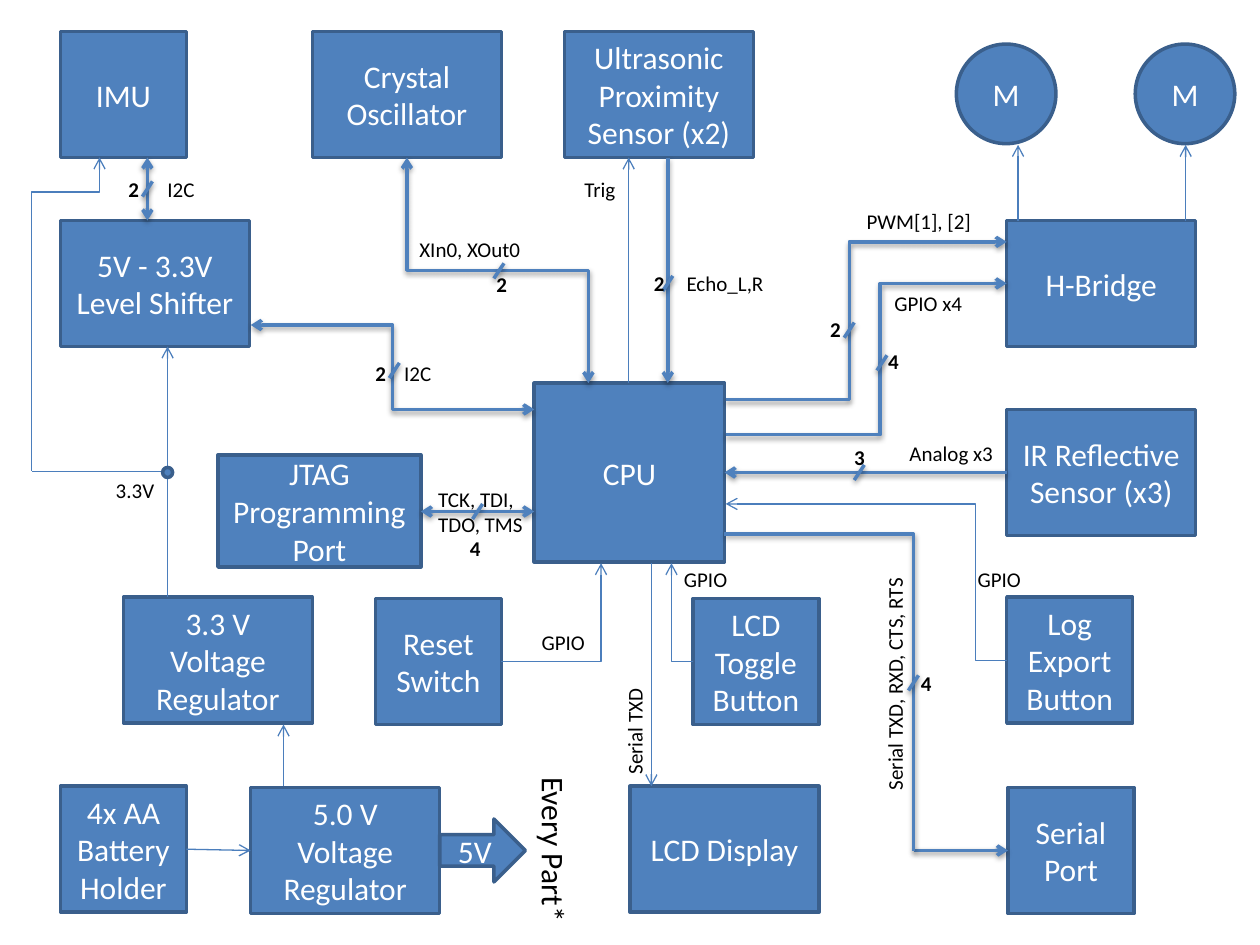
from pptx import Presentation
from pptx.dml.color import RGBColor
from pptx.enum.shapes import MSO_CONNECTOR, MSO_SHAPE
from pptx.enum.text import MSO_ANCHOR, MSO_AUTO_SIZE, PP_ALIGN
from pptx.oxml.ns import qn
from pptx.oxml.xmlchemy import OxmlElement
from pptx.util import Inches, Pt

RECTANGLE, OVAL, ARROW = MSO_SHAPE.RECTANGLE, MSO_SHAPE.OVAL, MSO_SHAPE.RIGHT_ARROW
STRAIGHT, ELBOW = MSO_CONNECTOR.STRAIGHT, MSO_CONNECTOR.ELBOW
CENTER, MIDDLE, FIT = PP_ALIGN.CENTER, MSO_ANCHOR.MIDDLE, MSO_AUTO_SIZE.SHAPE_TO_FIT_TEXT
FONT = "Calibri"
BLUE, OUTLINE, WIRE, WHITE, BLACK = "4F81BD", "3A5F8C", "4B7EBC", "FFFFFF", "000000"
BUS_WIDTH, WIRE_WIDTH = 2, 0.75

BLOCKS = [
    ("CPU", 4.24, 3.04, 1.51, 1.42),
    ("IMU", 0.48, 0.25, 1, 1),
    ("4x AA Battery Holder", 0.48, 6.24, 1, 1),
    ("Reset Switch", 2.98, 4.75, 1, 1),
    ("3.3 V Voltage Regulator", 0.98, 4.74, 1.5, 1),
    ("5.0 V Voltage Regulator", 1.99, 6.25, 1.5, 1),
    ("H-Bridge", 7.99, 1.75, 1.5, 1),
    ("5V - 3.3V Level Shifter", 0.48, 1.75, 1.5, 1),
    ("IR Reflective Sensor (x3)", 7.99, 3.25, 1.5, 1),
    ("Ultrasonic Proximity Sensor (x2)", 4.48, 0.25, 1.5, 1),
    ("Crystal Oscillator", 2.48, 0.25, 1.5, 1),
    ("LCD Toggle Button", 5.5, 4.75, 1, 1),
    ("LCD Display", 5, 6.24, 1.5, 1),
    ("Log Export Button", 7.99, 4.74, 1, 1),
    ("Serial Port", 8, 6.25, 1, 1),
    ("JTAG Programming Port", 1.73, 3.61, 1.61, 0.89),
]
WIRES = [
    (2.25, 6.24, 2.25, 5.75),
    (1.33, 4.74, 1.33, 2.75),
    (4.99, 3.04, 4.99, 1.25),
    (5.17, 4.47, 5.17, 6.24),
    (8.08, 1.75, 8.08, 1.15),
    (9.41, 1.75, 9.41, 1.15),
    (1.48, 6.74, 1.99, 6.75),
]
BUSES = [
    (1.17, 1.25, 1.17, 1.75, "both"),
    (4.24, 4.06, 3.34, 4.06, "both"),
    (5.3, 1.25, 5.3, 3.04, "end"),
    (7.99, 3.75, 5.75, 3.75, "end"),
    (7.25, 6.75, 8, 6.75, "end"),
]
BENT_BUSES = [
    (1.99, 2.58, 4.24, 3.25, 0.5, "both", False),
    (3.23, 1.25, 4.67, 3.04, 0.5, "both", True),
    (5.76, 3.45, 7.99, 2.25, 0.55, "end", False),
    (5.76, 3.17, 7.99, 1.92, 0.44, "end", False),
    (5.75, 4.24, 7.25, 6.75, None, "none", False),
]
BENT_WIRES = [
    (0.25, 3.74, 0.79, 1.25, 0.89, "end", True),
    (3.98, 5.25, 4.77, 4.47, None, "end", False),
    (5.5, 5.25, 5.33, 4.47, None, "end", False),
    (7.99, 5.24, 5.76, 4, 0.11, "end", False),
]
BUS_MARKS = [
    ("2", 1.17, 1.5, 0.92, 1.35),
    ("2", 3.13, 2.94, 2.88, 2.81),
    ("2", 3.96, 2.15, 3.84, 2.11),
    ("2", 5.3, 2.25, 5.09, 2.1),
    ("4", 7.25, 5.42, 7.21, 5.27),
    ("2", 6.74, 2.62, 6.49, 2.46),
    ("4", 7, 2.88, 6.95, 2.72),
    ("3", 6.82, 3.75, 6.68, 3.48),
    ("4", 3.79, 4.06, 3.63, 4.2),
]
LABELS = [
    ("I2C", 3.11, 2.81, 0.42),
    ("XIn0, XOut0", 3.23, 1.83, 1.01),
    ("I2C", 1.23, 1.35, 0.42),
    ("Echo_L,R", 5.35, 2.1, 0.82),
    ("GPIO x4", 7, 2.26, 0.85),
    ("PWM[1], [2]", 6.78, 1.61, 1.07),
    ("Analog x3", 7.12, 3.45, 0.87),
    ("Trig", 4.54, 1.35, 0.45),
    ("3.3V", 0.82, 3.74, 0.51),
    ("GPIO", 4.2, 4.95, 0.55),
    ("GPIO", 5.33, 4.45, 0.55),
    ("GPIO", 7.66, 4.45, 0.55),
]


def rgb(value):
    """Turn a hex string into a colour."""
    return RGBColor.from_string(value)


def add_child(parent, tag, **attributes):
    """Append an XML element with attributes and return it."""
    child = OxmlElement(tag)
    for name, value in attributes.items():
        child.set(name, str(value))
    parent.append(child)
    return child


def write(shape, text, size, color, bold=False):
    """Set the text of a shape and format it."""
    shape.text_frame.text = text
    para = shape.text_frame.paragraphs[0]
    for span in para.runs:
        span.font.name, span.font.size, span.font.bold = FONT, Pt(size), bold
        span.font.color.rgb = rgb(color)
    return para


def add_block(slide, text, left, top, width, height, kind=RECTANGLE):
    """Draw a filled shape with centred text."""
    block = slide.shapes.add_shape(kind, *map(Inches, (left, top, width, height)))
    block.shadow.inherit = False
    block.fill.solid()
    block.fill.fore_color.rgb = rgb(BLUE)
    block.line.color.rgb = rgb(OUTLINE)
    block.line.width = Pt(BUS_WIDTH)
    if text:
        block.text_frame.word_wrap = True
        block.text_frame.vertical_anchor = MIDDLE
        write(block, text, 18, WHITE).alignment = CENTER


def add_label(slide, text, left, top, width, height=0.3, size=12, bold=False, rotation=0, wrap=False):
    """Place a free label."""
    box = slide.shapes.add_textbox(*map(Inches, (left, top, width, height)))
    box.rotation = rotation
    box.text_frame.word_wrap = wrap
    box.text_frame.auto_size = FIT
    write(box, text, size, BLACK, bold)


def style_line(connector, bus, arrows):
    """Give a connector its colour, width, arrowheads and shadow."""
    connector.line.color.rgb = rgb(BLUE if bus else WIRE)
    connector.line.width = Pt(BUS_WIDTH if bus else WIRE_WIDTH)
    properties = connector._element.spPr
    line = properties.find(qn("a:ln"))
    if arrows == "both":
        add_child(line, "a:headEnd", type="arrow")
    if arrows != "none":
        add_child(line, "a:tailEnd", type="arrow")
    effects = add_child(properties, "a:effectLst")
    if bus:
        shadow = add_child(effects, "a:outerShdw", blurRad=Pt(3.1), dist=Pt(1.6), dir=5400000, rotWithShape=0)
        add_child(add_child(shadow, "a:srgbClr", val=BLACK), "a:alpha", val=38000)


def add_line(slide, x1, y1, x2, y2, bus=False, arrows="end"):
    """Draw a straight wire or bus."""
    connector = slide.shapes.add_connector(STRAIGHT, *map(Inches, (x1, y1, x2, y2)))
    style_line(connector, bus, arrows)


def add_elbow(slide, x1, y1, x2, y2, bend, arrows, vertical, bus):
    """Draw a bent line that turns at the bend fraction, or at one corner when bend is None."""
    if vertical:
        middle_x, middle_y = (x1 + x2) / 2, (y1 + y2) / 2
        half_x, half_y = (y2 - y1) / 2, (x1 - x2) / 2
        x1, y1 = middle_x - half_x, middle_y - half_y
        x2, y2 = middle_x + half_x, middle_y + half_y
    connector = slide.shapes.add_connector(ELBOW, *map(Inches, (x1, y1, x2, y2)))
    connector.rotation = 90 if vertical else 0
    geometry = connector._element.spPr.find(qn("a:prstGeom"))
    if bend is None:
        geometry.set("prst", "bentConnector2")
    else:
        guides = geometry.find(qn("a:avLst"))
        add_child(guides, "a:gd", name="adj1", fmla=f"val {round(bend * 100000)}")
    style_line(connector, bus, arrows)


def main():
    """Build the robot block diagram."""
    deck = Presentation()
    deck.slide_width, deck.slide_height = Inches(10), Inches(7.5)
    slide = deck.slides.add_slide(deck.slide_layouts[6])
    for block in BLOCKS:
        add_block(slide, *block)
    for left in (7.59, 9.01):
        add_block(slide, "M", left, 0.35, 0.79, 0.79, OVAL)
    add_block(slide, "5V", 3.49, 6.5, 0.68, 0.5, ARROW)
    for wire in WIRES:
        add_line(slide, *wire)
    add_line(slide, 1.33, 3.74, 0.25, 3.74, arrows="none")
    for x1, y1, x2, y2, arrows in BUSES:
        add_line(slide, x1, y1, x2, y2, True, arrows)
    for routes, bus in ((BENT_BUSES, True), (BENT_WIRES, False)):
        for route in routes:
            add_elbow(slide, *route, bus)
    add_block(slide, "", 1.29, 3.71, 0.08, 0.08, OVAL)
    for count, x, y, left, top in BUS_MARKS:
        add_line(slide, x + 0.04, y - 0.06, x - 0.04, y + 0.06, True, "none")
        add_label(slide, count, left, top, 0.29, bold=True)
    for label in LABELS:
        add_label(slide, *label)
    add_label(slide, "TCK, TDI, TDO, TMS", 3.38, 3.81, 0.9, 0.5, wrap=True)
    add_label(slide, "Serial TXD", 4.59, 5.65, 0.89, rotation=270)
    add_label(slide, "Serial TXD, RXD, CTS, RTS", 6.15, 5.27, 1.9, rotation=270)
    add_label(slide, "Every Part*", 3.72, 6.55, 1.36, 0.4, size=18, rotation=90)
    deck.save("out.pptx")


if __name__ == "__main__":
    main()
